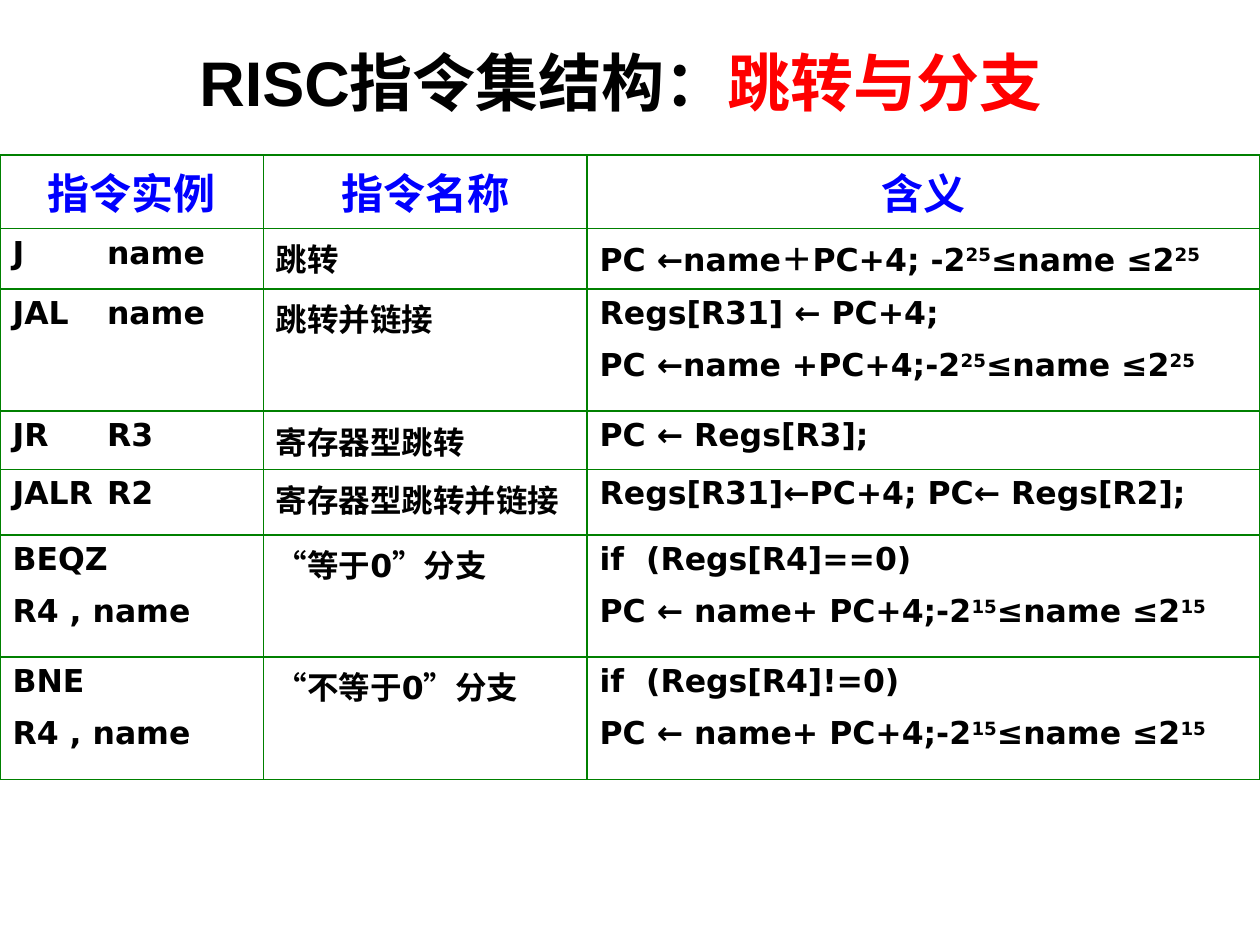
from lxml import etree
from pptx import Presentation
from pptx.dml.color import RGBColor
from pptx.enum.text import MSO_ANCHOR, PP_ALIGN
from pptx.oxml.ns import qn
from pptx.util import Inches, Pt

CENTER, LEFT = PP_ALIGN.CENTER, PP_ALIGN.LEFT
MIDDLE = MSO_ANCHOR.MIDDLE
LATIN, CJK = "DejaVu Sans", "Noto Sans CJK SC"
BLACK, RED, BLUE, GREEN = "000000", "FF0000", "0000FF", "008000"

# Content: lines split at \n, superscripts stand between ^ marks
TITLE = [("RISC指令集结构：", BLACK), ("跳转与分支", RED)]
HEADERS = ("指令实例", "指令名称", "含义")
INSTRUCTIONS = [
    ("J\tname", "跳转", "PC ←name＋PC+4; -2^25^≤name ≤2^25^"),
    ("JAL\tname", "跳转并链接",
     "Regs[R31] ← PC+4;\nPC ←name +PC+4;-2^25^≤name ≤2^25^"),
    ("JR\tR3", "寄存器型跳转", "PC ← Regs[R3];"),
    ("JALR\tR2", "寄存器型跳转并链接", "Regs[R31]←PC+4; PC← Regs[R2];"),
    ("BEQZ\nR4 , name", "“等于0”分支",
     "if  (Regs[R4]==0)\nPC ← name+ PC+4;-2^15^≤name ≤2^15^"),
    ("BNE\nR4 , name", "“不等于0”分支",
     "if  (Regs[R4]!=0)\nPC ← name+ PC+4;-2^15^≤name ≤2^15^"),
]
COLUMN_WIDTHS = (2.09, 2.57, 5.34)
ROW_HEIGHTS = (0.58, 0.48, 0.97, 0.46, 0.52, 0.97, 0.97)
OPERAND_TAB = 0.75


def rgb(value):
    return RGBColor.from_string(value)


def add_span(para, text, size, color, font=LATIN, raised=False):
    span = para.add_run()
    span.text = text
    span.font.size, span.font.bold, span.font.name = Pt(size), True, font
    span.font.color.rgb = rgb(color)
    properties = span.font._element
    etree.SubElement(properties, qn("a:ea"), typeface=CJK)
    if raised:
        properties.set("baseline", "30000")


def add_line(para, line, size, color):
    """Write one line, with raised exponents and Chinese quotation marks."""
    for index, part in enumerate(line.split("^")):
        marked = part.replace("“", "^“^").replace("”", "^”^")
        for piece in filter(None, marked.split("^")):
            font = CJK if piece in "“”" else LATIN
            add_span(para, piece, size, color, font, raised=index % 2 == 1)


def add_tab_stop(para, position):
    tabs = etree.SubElement(para._p.get_or_add_pPr(), qn("a:tabLst"))
    etree.SubElement(tabs, qn("a:tab"), pos=str(Inches(position)), algn="l")


def add_borders(cell, color):
    properties = cell._tc.get_or_add_tcPr()
    for index, side in enumerate(("lnL", "lnR", "lnT", "lnB")):
        line = etree.Element(qn("a:" + side), w=str(Pt(1)))
        fill = etree.SubElement(line, qn("a:solidFill"))
        etree.SubElement(fill, qn("a:srgbClr"), val=color)
        properties.insert(index, line)


def fill_cell(cell, text, size, color, align):
    cell.fill.background()
    add_borders(cell, GREEN)
    frame = cell.text_frame
    for index, line in enumerate(text.split("\n")):
        para = frame.add_paragraph() if index else frame.paragraphs[0]
        para.alignment = align
        if index:
            para.space_before = Pt(size / 2)
        if "\t" in line:
            add_tab_stop(para, OPERAND_TAB)
        add_line(para, line, size, color)


deck = Presentation()
deck.slide_width, deck.slide_height = Inches(10), Inches(7.5)
page = deck.slides.add_slide(deck.slide_layouts[5])

# Title
title = page.shapes.title
title.left, title.top = Inches(0.43), Inches(0.02)
title.width, title.height = Inches(9), Inches(1.25)
title.text_frame.vertical_anchor = MIDDLE
heading = title.text_frame.paragraphs[0]
heading.alignment = CENTER
for text, color in TITLE:
    add_span(heading, text, 36, color, "Arial")

# Instruction table
rows = [HEADERS] + INSTRUCTIONS
table = page.shapes.add_table(
    len(rows), len(HEADERS), Inches(0), Inches(1.23),
    Inches(sum(COLUMN_WIDTHS)), Inches(sum(ROW_HEIGHTS))).table
table.first_row = table.horz_banding = False
for column, width in zip(table.columns, COLUMN_WIDTHS):
    column.width = Inches(width)
for row, height in zip(table.rows, ROW_HEIGHTS):
    row.height = Inches(height)
for row_index, texts in enumerate(rows):
    style = (18, BLACK, LEFT) if row_index else (24, BLUE, CENTER)
    for column_index, text in enumerate(texts):
        fill_cell(table.cell(row_index, column_index), text, *style)

deck.save("out.pptx")
